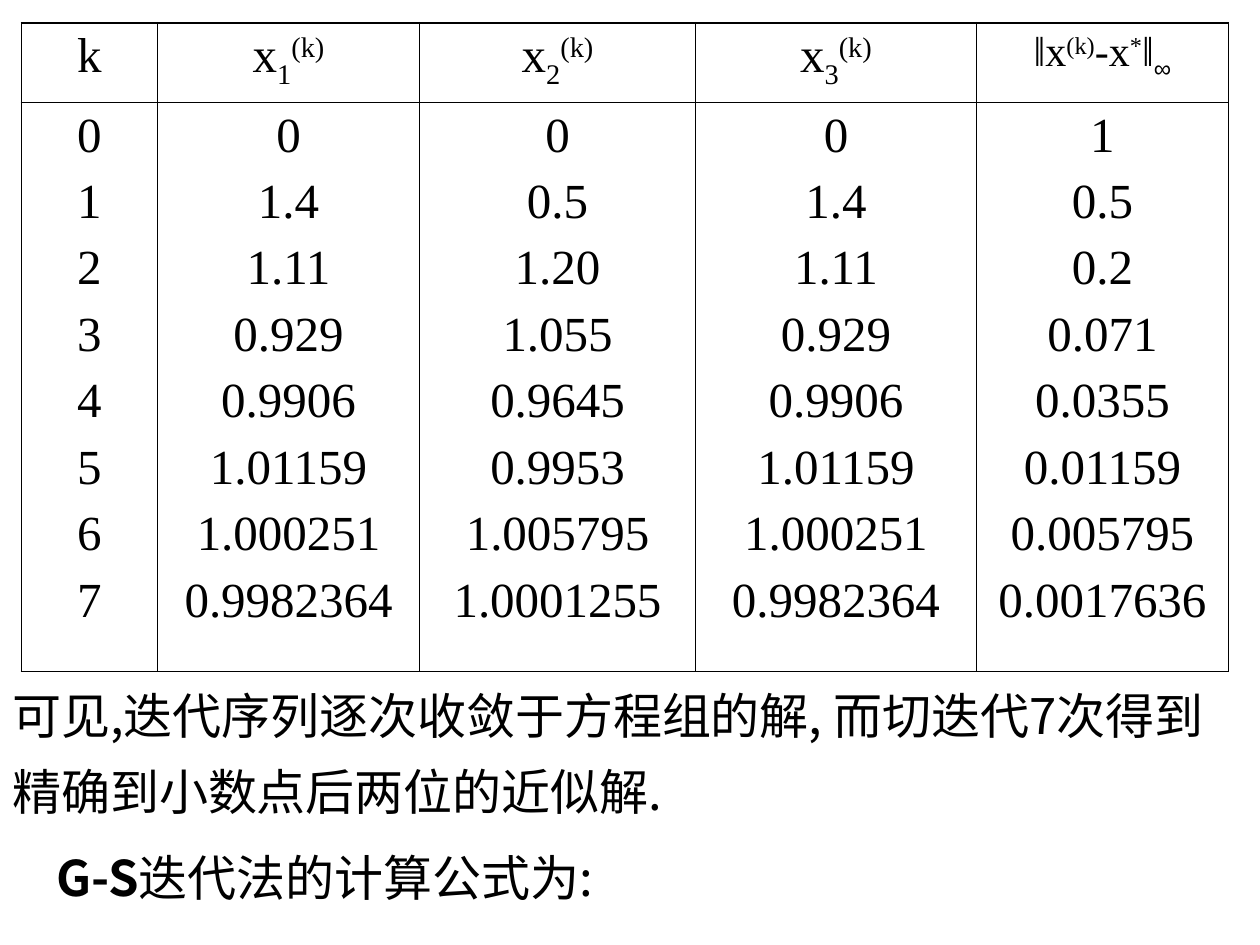
from lxml import etree
from pptx import Presentation
from pptx.dml.color import RGBColor
from pptx.enum import text
from pptx.oxml import ns
from pptx.util import Inches, Pt

BLACK = "000000"
SERIF, SANS = "Times New Roman", "Noto Sans CJK SC"
THICK, THIN = 1.08, 0.45


def add_run(paragraph, words, face, size=28, bold=False, baseline=0):
    """Append a run with Latin and East Asian faces; baseline is a percentage."""
    run = paragraph.add_run()
    run.text = words
    for key, value in {"name": face, "size": Pt(size), "bold": bold}.items():
        setattr(run.font, key, value)
    run.font.color.rgb = RGBColor.from_string(BLACK)
    properties = run._r.get_or_add_rPr()
    etree.SubElement(properties, ns.qn("a:ea"), typeface=face)
    if baseline:
        properties.set("baseline", str(baseline * 1000))


def add_border(cell, side, width):
    line = etree.SubElement(cell._tc.get_or_add_tcPr(), ns.qn(f"a:ln{side}"),
                            w=str(Pt(width)))
    fill = etree.SubElement(line, ns.qn("a:solidFill"))
    etree.SubElement(fill, ns.qn("a:srgbClr"), val=BLACK)


deck = Presentation()
deck.slide_width, deck.slide_height = Inches(10), Inches(7.5)
slide = deck.slides.add_slide(deck.slide_layouts[6])

# Iteration table: a header row, then one tall row holding every step
headers = [[("k", 0)]]
headers += [[("x", 0), (index, -25), ("(k)", 30)] for index in "123"]
headers.append([("‖x", 0), ("(k)", 30), ("-x", 0), ("*", 30), ("‖", 0), ("∞", -25)])

x1 = ["0", "1.4", "1.11", "0.929", "0.9906", "1.01159", "1.000251", "0.9982364"]
x2 = ["0", "0.5", "1.20", "1.055", "0.9645", "0.9953", "1.005795", "1.0001255"]
error = ["1", "0.5", "0.2", "0.071", "0.0355", "0.01159", "0.005795", "0.0017636"]
columns = [list("01234567"), x1, x2, x1, error]
widths = [1.08, 2.08, 2.19, 2.23, 2]
heights = [0.63, 4.52]

iterations = slide.shapes.add_table(2, 5, Inches(0.17), Inches(0.18),
                                    Inches(sum(widths)), Inches(sum(heights))).table
iterations.first_row = iterations.horz_banding = False
for row, height in zip(iterations.rows, heights):
    row.height = Inches(height)

last = len(widths) - 1
for col, (width, header, values) in enumerate(zip(widths, headers, columns)):
    iterations.columns[col].width = Inches(width)
    size = 24 if col == last else 28
    for row, lines in enumerate([[header], [[(value, 0)] for value in values]]):
        cell = iterations.cell(row, col)
        for number, parts in enumerate(lines):
            frame = cell.text_frame
            paragraph = frame.add_paragraph() if number else frame.paragraphs[0]
            paragraph.alignment = text.PP_ALIGN.CENTER
            paragraph.space_before = Pt(6 if row == 0 and col == last else 7)
            for words, baseline in parts:
                add_run(paragraph, words, "Arial" if words == "∞" else SERIF,
                        size if row == 0 else 28, baseline=baseline)
        outer = {"L": col == 0, "R": col == last, "T": row == 0, "B": row == 1}
        for side, is_outer in outer.items():
            add_border(cell, side, THICK if is_outer else THIN)
        cell.fill.background()

# Conclusion and lead-in to the next method: top, height, first-line indent, runs
remarks = [
    (5.25, 1.32, 0,
     [("可见,迭代序列逐次收敛于方程组的解, 而切迭代7次得到精确到小数点后两位的近似解.", False)]),
    (6.54, 0.71, 0.35, [("G-S", True), ("迭代法的计算公式为:", False)]),
]
for top, height, indent, parts in remarks:
    frame = slide.shapes.add_textbox(0, Inches(top), Inches(10),
                                     Inches(height)).text_frame
    frame.word_wrap = True
    frame.auto_size = text.MSO_AUTO_SIZE.SHAPE_TO_FIT_TEXT
    paragraph = frame.paragraphs[0]
    paragraph.line_spacing = 1.3
    paragraph.space_before = Pt(17.5)
    paragraph._p.get_or_add_pPr().set("indent", str(Inches(indent)))
    for words, bold in parts:
        add_run(paragraph, words, SANS, bold=bold)

deck.save("out.pptx")
